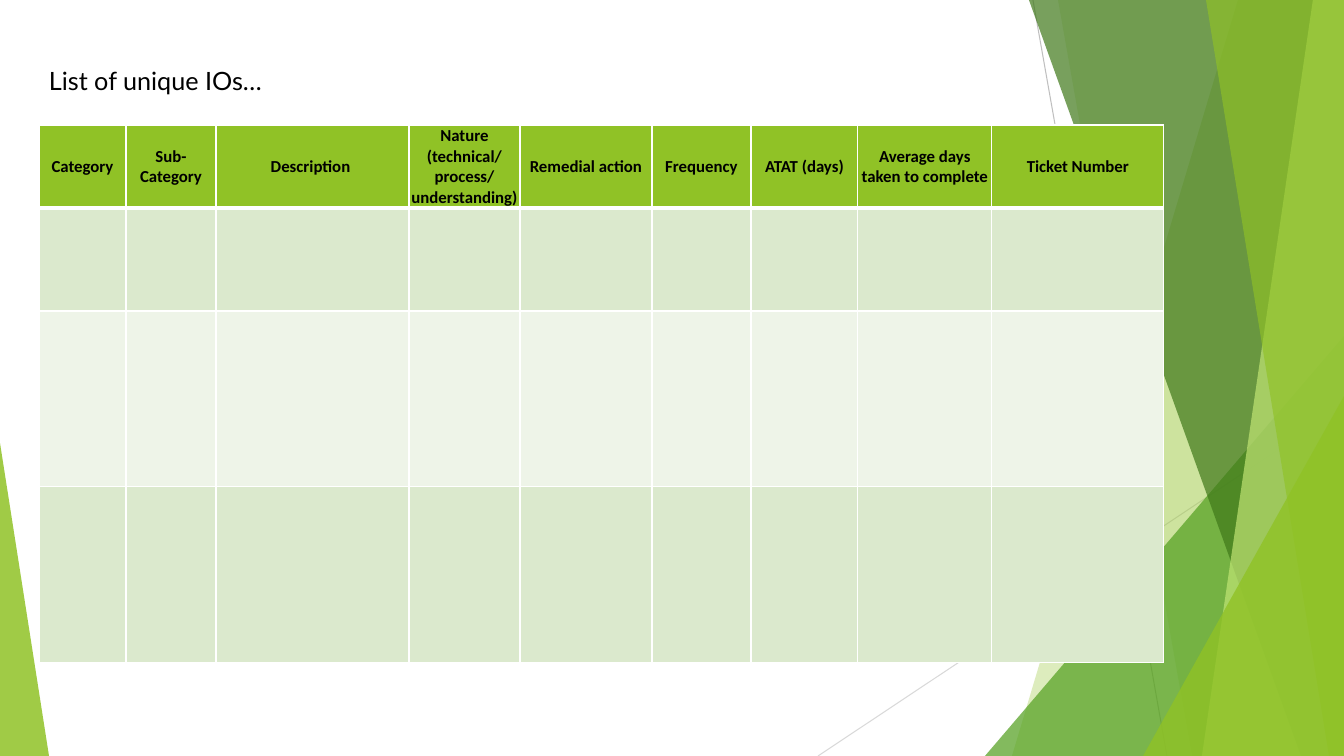
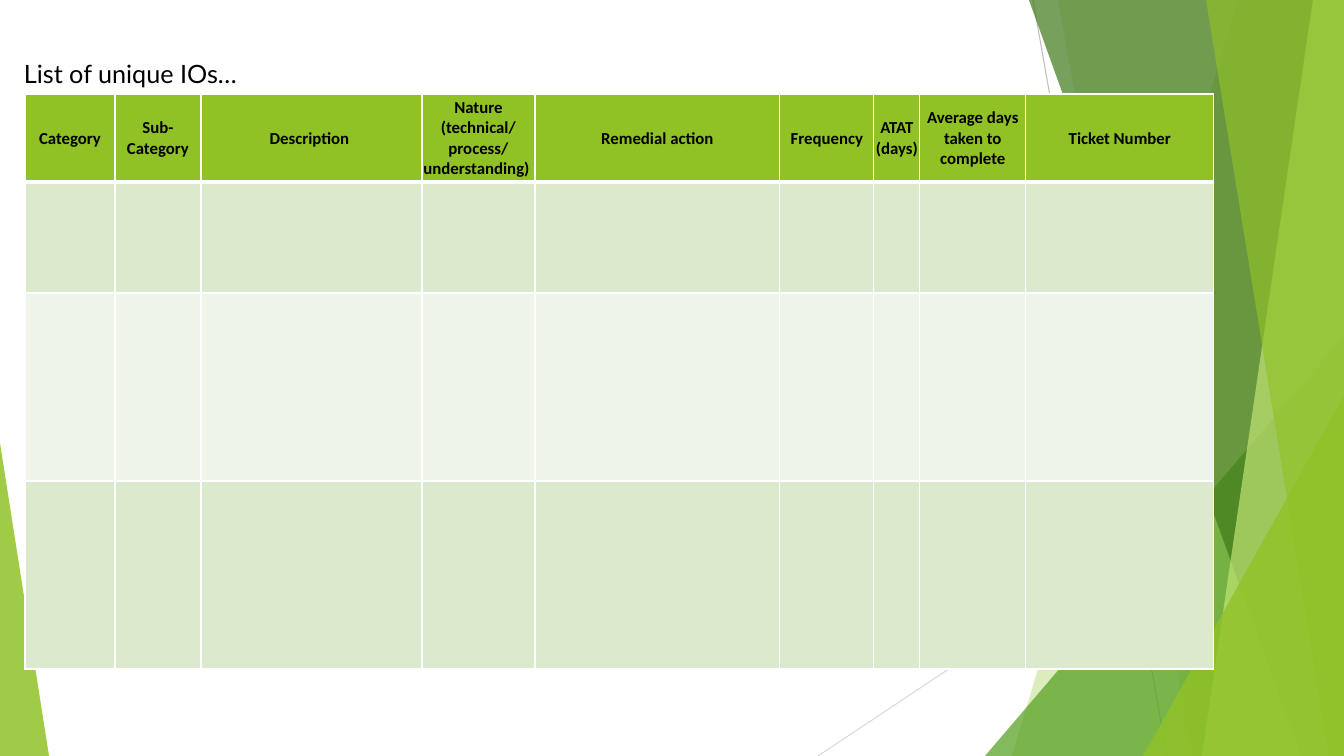
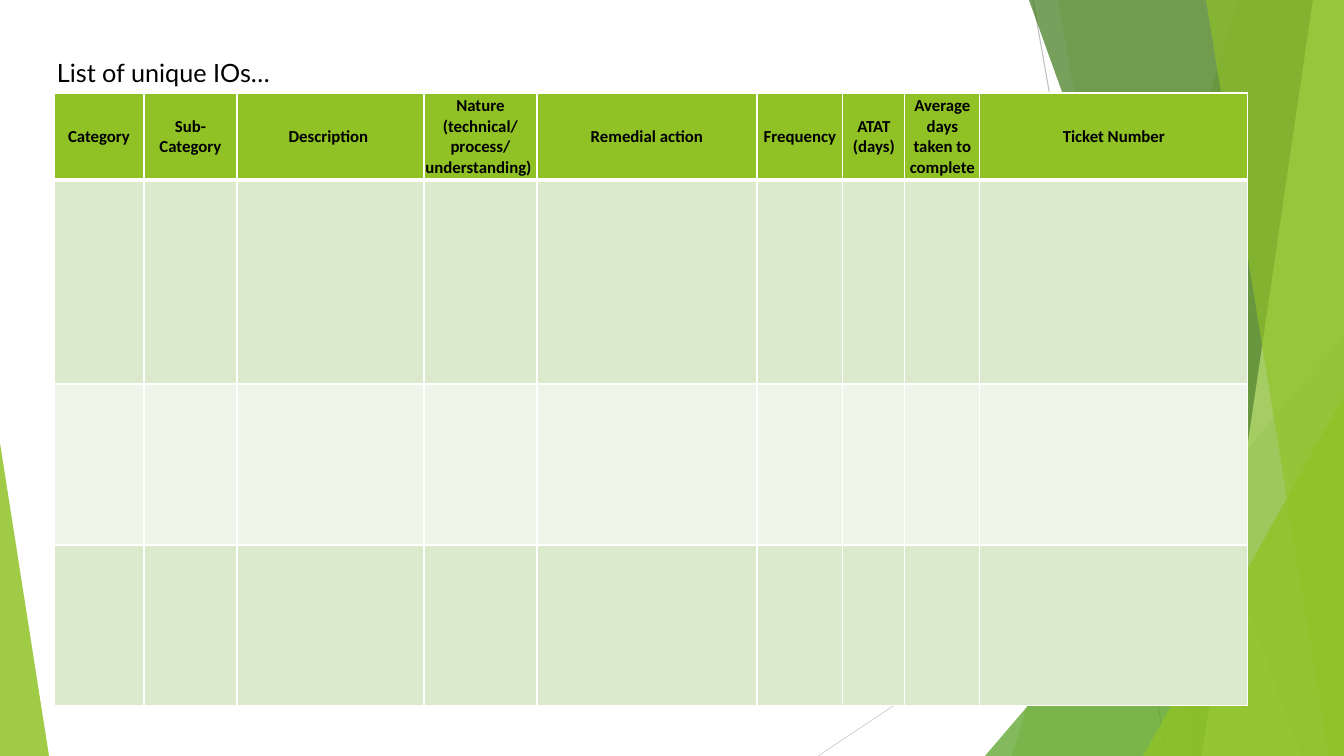
from lxml.etree import SubElement
from pptx import Presentation
from pptx.dml.color import RGBColor as Rgb
from pptx.enum.shapes import MSO_CONNECTOR as Link, MSO_SHAPE as Kind
from pptx.enum.text import MSO_ANCHOR as Anchor, PP_ALIGN as Align
from pptx.oxml import parse_xml
from pptx.oxml.ns import nsdecls, qn
from pptx.util import Pt

WIDE, HIGH = 1344, 756
SCALE = 12192000 / WIDE
HUES = {
    "lime": "90C226", "leaf": "54A021", "moss": "3F7819", "pale": "C0E474",
    "band": "DBE9CD", "tint": "EEF4E8", "white": "FFFFFF", "black": "000000",
    "grey": "BFBFBF", "mist": "D9D9D9",
}
TITLE = "List of unique IOs…"
HEADS = ["Category", "Sub- Category", "Description ",
         "Nature (technical/ process/ understanding) ", "Remedial action",
         "Frequency", "ATAT (days)", "Average days taken to complete",
         "Ticket Number"]

# Backdrop, back to front
RAYS = [("grey", 1033, 0, 1167, HIGH), ("mist", WIDE, 406, 818, HIGH)]
# Blade: hue, opacity, left edge at top and at bottom
# Wedge: hue, opacity, left, top, width, apex (0 left, 1 right)
FACETS = [
    ("blade", "lime", 30, 1238, 1012),
    ("blade", "lime", 20, 1058, 1192),
    ("wedge", "leaf", 72, 985, 336, 359, 1),
    ("blade", "moss", 70, 1029, 1301),
    ("blade", "pale", 70, 1313, 1202),
    ("blade", "lime", 65, 1206, 1329),
    ("wedge", "lime", 80, 1143, 396, 201, 1),
    ("wedge", "lime", 85, 0, 443, 49, 0),
]

# Title corner, table corner, column widths, row heights
PAGES = [
    ((39, 60), (39, 125), [87, 90, 193, 111, 132, 99, 107, 134, 172],
     [80, 103, 176, 176]),
    ((14, 53), (25, 94), [90, 86, 221, 113, 245, 94, 46, 106, 188],
     [88, 111, 188, 188]),
    ((47, 52), (54, 93), [90, 93, 187, 113, 220, 86, 62, 75, 268],
     [87, 204, 161, 161]),
]


def px(n):
    return round(n * SCALE)


def hue(name):
    return Rgb.from_string(HUES[name])


def paint(shape, name, alpha):
    """Fill a shape with a see-through colour, without line or shadow."""
    shape.shadow.inherit = False
    shape.fill.solid()
    shape.fill.fore_color.rgb = hue(name)
    tone = shape.element.spPr.find(".//" + qn("a:srgbClr"))
    SubElement(tone, qn("a:alpha"), val=str(alpha * 1000))
    shape.line.fill.background()


def blade(shapes, top, foot):
    """A four-sided strip that reaches the right edge of the slide."""
    pen = shapes.build_freeform(top, 0, scale=SCALE)
    pen.add_line_segments([(WIDE, 0), (WIDE, HIGH), (foot, HIGH)], close=True)
    return pen.convert_to_shape()


def wedge(shapes, left, top, width, apex):
    """A triangle that stands on the foot of the slide."""
    shape = shapes.add_shape(Kind.ISOSCELES_TRIANGLE, px(left), px(top),
                             px(width), px(HIGH - top))
    shape.adjustments[0] = apex
    return shape


def backdrop(slide, layout):
    """Draw the facets as one group and move it to the shared layout."""
    for holder in list(layout.placeholders):
        layout.shapes.element.remove(holder.element)
    group = slide.shapes.add_group_shape()
    for name, *ends in RAYS:
        ray = group.shapes.add_connector(Link.STRAIGHT, *map(px, ends))
        ray.line.color.rgb = hue(name)
        ray.line.width = Pt(0.75)
        SubElement(ray.element.spPr, qn("a:effectLst"))
    makers = {"blade": blade, "wedge": wedge}
    for kind, name, alpha, *spots in FACETS:
        paint(makers[kind](group.shapes, *spots), name, alpha)
    layout.shapes.element.append(group.element)


def style(para, size, face, bold=False):
    font = para.font
    font.size, font.name, font.bold = Pt(size), face, bold
    font.color.rgb = hue("black")


def title(slide, left, top):
    box = slide.shapes.add_textbox(px(left), px(top), px(246), px(40))
    frame = box.text_frame
    frame.word_wrap = True
    frame.text = TITLE
    style(frame.paragraphs[0], 18, "Lato")


def edge(cell, row):
    """White cell borders, thick below the header row."""
    props = cell._tc.get_or_add_tcPr()
    widths = {"L": 1, "R": 1, "T": 3 if row == 1 else 1,
              "B": 3 if row == 0 else 1}
    for spot, (side, width) in enumerate(widths.items()):
        props.insert(spot, parse_xml(
            f'<a:ln{side} {nsdecls("a")} w="{Pt(width)}"><a:solidFill>'
            f'<a:srgbClr val="{HUES["white"]}"/></a:solidFill></a:ln{side}>'))


def head(cell, text):
    cell.text = text
    cell.vertical_anchor = Anchor.MIDDLE
    cell.margin_left = cell.margin_right = cell.margin_top = px(1)
    cell.margin_bottom = 0
    para = cell.text_frame.paragraphs[0]
    para.alignment = Align.CENTER
    style(para, 12, "Calibri", True)


def grid(slide, left, top, cols, rows):
    table = slide.shapes.add_table(
        len(rows), len(cols), px(left), px(top),
        px(sum(cols)), px(sum(rows))).table
    for col, width in zip(table.columns, cols):
        col.width = px(width)
    for r, (row, height) in enumerate(zip(table.rows, rows)):
        row.height = px(height)
        name = "lime" if r == 0 else "band" if r % 2 else "tint"
        for cell, text in zip(row.cells, HEADS):
            cell.fill.solid()
            cell.fill.fore_color.rgb = hue(name)
            edge(cell, r)
            if r == 0:
                head(cell, text)


def main():
    deck = Presentation()
    deck.slide_width, deck.slide_height = px(WIDE), px(HIGH)
    blank = deck.slide_layouts[6]
    for n, (spot, base, cols, rows) in enumerate(PAGES):
        slide = deck.slides.add_slide(blank)
        if n == 0:
            backdrop(slide, blank)
        grid(slide, *base, cols, rows)
        title(slide, *spot)
    deck.save("out.pptx")


if __name__ == "__main__":
    main()
